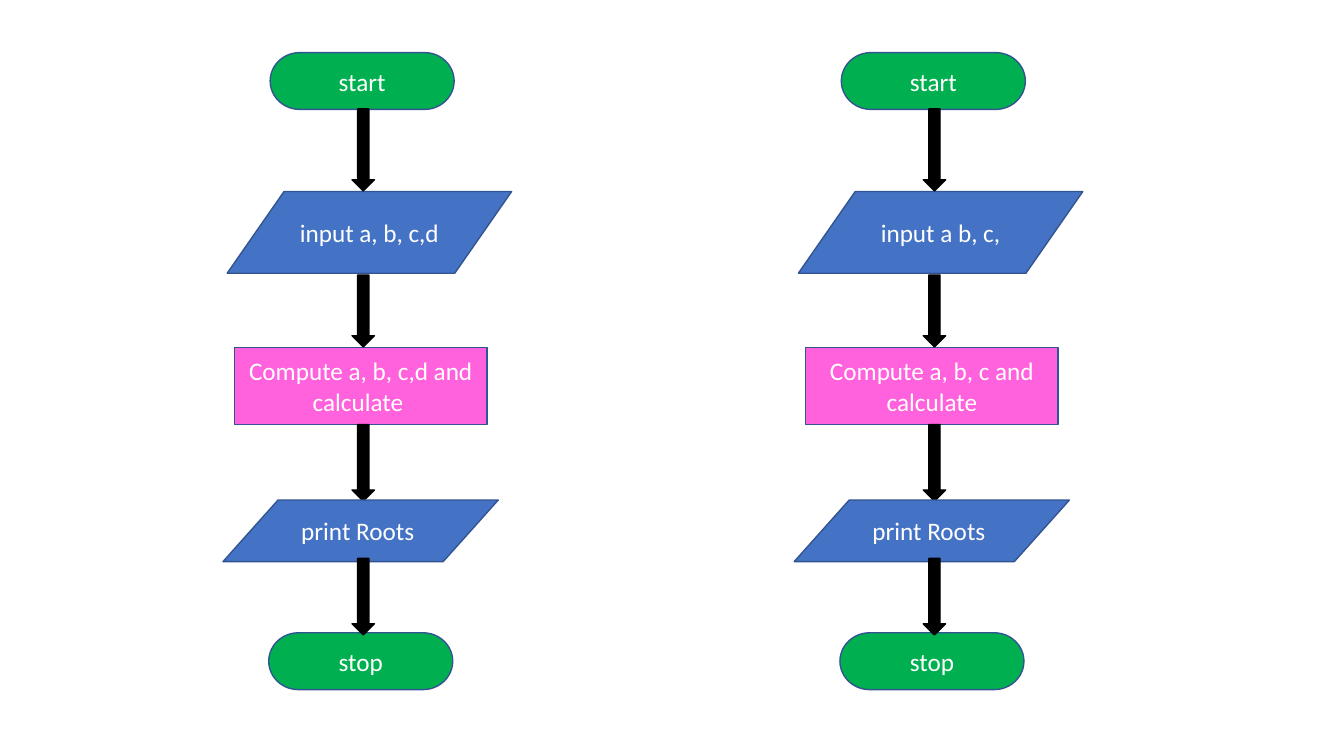
from pptx import Presentation
from pptx.dml.color import RGBColor
from pptx.enum.shapes import MSO_SHAPE
from pptx.enum.text import MSO_ANCHOR, PP_ALIGN
from pptx.util import Pt

GREEN, BLUE, PINK = "00B050", "4472C4", "FF62DC"
OUTLINE, BLACK, WHITE = "325491", "000000", "FFFFFF"
CHART_SPACING = 408


def color(hex_value):
    return RGBColor.from_string(hex_value)


def add_flow_shape(kind, left, top, width, height, fill, outline):
    shape = slide.shapes.add_shape(kind, Pt(left), Pt(top), Pt(width), Pt(height))
    shape.shadow.inherit = False
    shape.fill.solid()
    shape.fill.fore_color.rgb = color(fill)
    shape.line.color.rgb = color(outline)
    shape.line.width = Pt(1)
    return shape


presentation = Presentation()
presentation.slide_width = Pt(960)
presentation.slide_height = Pt(540)
slide = presentation.slides.add_slide(presentation.slide_layouts[6])

# Kind, left, top, width, height and fill of each step in the first flowchart
steps = [
    (MSO_SHAPE.FLOWCHART_TERMINATOR, 193, 37.6, 131.4, 40.6, GREEN),
    (MSO_SHAPE.FLOWCHART_DATA, 162.3, 136.8, 203.2, 58.4, BLUE),
    (MSO_SHAPE.RECTANGLE, 167.5, 248.4, 180.4, 54.7, PINK),
    (MSO_SHAPE.FLOWCHART_DATA, 159.3, 357.2, 196.6, 44, BLUE),
    (MSO_SHAPE.FLOWCHART_TERMINATOR, 192, 452, 131.4, 40.6, GREEN),
]

# Top and height of the arrow that leads into each step after the first
arrows = [(77.8, 58.6), (196.4, 51.4), (303.3, 54.7), (398.9, 54.7)]

flowcharts = [
    ["start", "input a, b, c,d", "Compute a, b, c,d and calculate ", "print Roots ", "stop"],
    ["start", "input a b, c,", "Compute a, b, c and calculate", "print Roots ", "stop"],
]

for index, labels in enumerate(flowcharts):
    offset = index * CHART_SPACING
    step_shapes = []
    for label, (kind, left, top, width, height, fill) in zip(labels, steps):
        shape = add_flow_shape(kind, left + offset, top, width, height, fill, OUTLINE)
        step_shapes.append(shape)
        text_frame = shape.text_frame
        text_frame.word_wrap = True
        text_frame.vertical_anchor = MSO_ANCHOR.MIDDLE
        text_frame.text = label
        paragraph = text_frame.paragraphs[0]
        paragraph.alignment = PP_ALIGN.CENTER
        font = paragraph.runs[0].font
        font.name = "Calibri"
        font.size = Pt(18)
        font.color.rgb = color(WHITE)

    for top, height in arrows:
        add_flow_shape(MSO_SHAPE.DOWN_ARROW, 251.5 + offset, top, 16, height, BLACK, BLACK)

    # The print step covers the tip of the arrow above it, but not the arrow below
    print_step = step_shapes[3]
    last_arrow = slide.shapes[-1]
    last_arrow.element.addprevious(print_step.element)

presentation.save("out.pptx")
